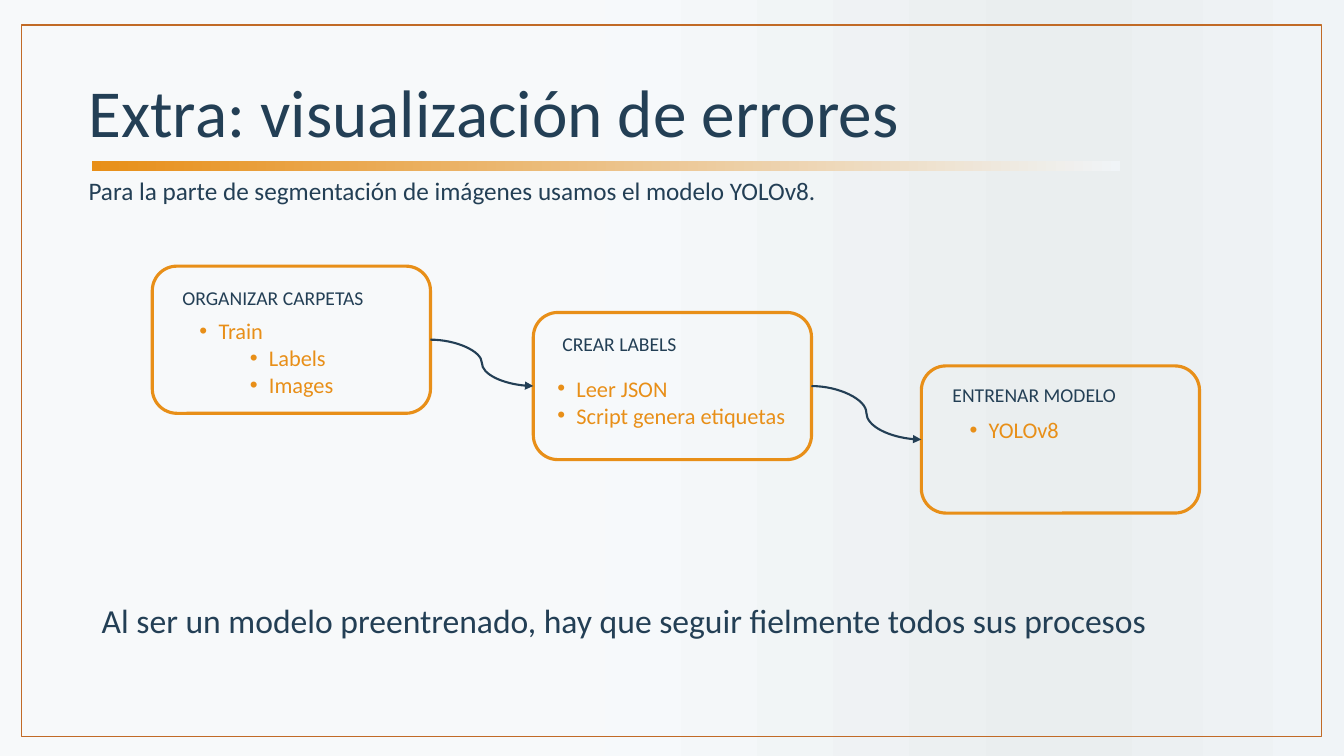
"""Builds the slide on error visualisation, laid out in percent of the slide's size."""
from typing import NamedTuple

from lxml import etree
from pptx import Presentation
from pptx import util as u
from pptx.dml.color import RGBColor
from pptx.enum import shapes, text
from pptx.oxml.ns import qn

WIDTH, HEIGHT = u.Inches(13.33), u.Inches(7.5)
NAVY, ORANGE, RUST = "233F55", "E88F18", "C16A26"
BACKGROUND_STOPS = [(0, "F8F8FA"), (0, "F7F9FA"), (45, "F6F9FB"), (79, "EAEEEF"), (100, "F0F4F7")]
BAR_STOPS = [(0, ORANGE), (100, "F0F4F7")]
INDENT = 0.19
LEVEL_STEP = 0.5


class Area(NamedTuple):
    left: float
    top: float
    width: float
    height: float


class Line(NamedTuple):
    words: str
    level: int = 0


class Banner(NamedTuple):
    words: str
    area: Area
    size: int


class Step(NamedTuple):
    heading: str
    heading_area: Area
    lines: list[Line]
    lines_area: Area
    left: float
    top: float


BANNERS = [
    Banner("Extra: visualización de errores", Area(5.85, 8.67, 88.05, 12.13), 48),
    Banner("Para la parte de segmentación de imágenes usamos el modelo YOLOv8.",
           Area(5.85, 22.53, 88.05, 5.33), 18),
    Banner("Al ser un modelo preentrenado, hay que seguir fielmente todos sus procesos",
           Area(6.83, 78.67, 88.05, 6.67), 24),
]
STEP_WIDTH, STEP_HEIGHT = 20.7, 19.47
STEPS = [
    Step("ORGANIZAR CARPETAS", Area(12.83, 37.2, 15.9, 4.53),
         [Line("Train"), Line("Labels", 1), Line("Images", 1)],
         Area(14.1, 41.33, 11.63, 12.13), 11.33, 35.2),
    Step("CREAR LABELS", Area(41.1, 43.2, 11.1, 4.53),
         [Line("Leer JSON"), Line("Script genera etiquetas")],
         Area(40.73, 48.93, 19.58, 8.53), 39.68, 41.33),
    Step("ENTRENAR MODELO", Area(70.13, 50, 14.03, 4.53),
         [Line("YOLOv8")], Area(71.4, 54.4, 8.48, 4.93), 68.55, 48.4),
]


def color(value: str) -> RGBColor:
    return RGBColor.from_string(value)


def place(area: Area) -> tuple[int, int, int, int]:
    return (int(area.left * WIDTH / 100), int(area.top * HEIGHT / 100),
            int(area.width * WIDTH / 100), int(area.height * HEIGHT / 100))


def set_gradient(owner, fill, stops: list[tuple[int, str]]) -> None:
    fill.gradient()
    fill.gradient_angle = 0
    stop_list = next(owner.element.iter(qn("a:gsLst")))
    for stop in list(stop_list):
        stop_list.remove(stop)
    for position, value in stops:
        stop = etree.SubElement(stop_list, qn("a:gs"), pos=str(position * 1000))
        etree.SubElement(stop, qn("a:srgbClr"), val=value)


def add_outline(slide, kind, area: Area, line: str, points: float):
    shape = slide.shapes.add_shape(kind, *place(area))
    shape.shadow.inherit = False
    shape.fill.background()
    shape.line.color.rgb = color(line)
    shape.line.width = u.Pt(points)
    return shape


def add_bar(slide, area: Area) -> None:
    shape = slide.shapes.add_shape(shapes.MSO_SHAPE.RECTANGLE, *place(area))
    shape.shadow.inherit = False
    shape.line.fill.background()
    set_gradient(shape, shape.fill, BAR_STOPS)


def add_bullet(paragraph, level: int) -> None:
    paragraph.level = level
    properties = paragraph._p.get_or_add_pPr()
    properties.set("marL", str(u.Inches(INDENT + level * LEVEL_STEP)))
    properties.set("indent", str(-u.Inches(INDENT)))
    etree.SubElement(properties, qn("a:buFont"), typeface="Arial")
    etree.SubElement(properties, qn("a:buChar"), char="•")


def add_text(slide, area: Area, lines: list[Line], size: int, ink: str,
             wrap: bool = False, bullets: bool = False) -> None:
    frame = slide.shapes.add_textbox(*place(area)).text_frame
    frame.word_wrap = wrap
    frame.auto_size = text.MSO_AUTO_SIZE.SHAPE_TO_FIT_TEXT
    for index, line in enumerate(lines):
        paragraph = frame.add_paragraph() if index else frame.paragraphs[0]
        paragraph.text = line.words
        if bullets:
            add_bullet(paragraph, line.level)
        paragraph.font.name = "Calibri"
        paragraph.font.size = u.Pt(size)
        paragraph.font.color.rgb = color(ink)


def add_arrow(slide, source, target) -> None:
    arrow = slide.shapes.add_connector(shapes.MSO_CONNECTOR.CURVE, 0, 0, 0, 0)
    arrow.begin_connect(source, 3)
    arrow.end_connect(target, 1)
    arrow.line.color.rgb = color(NAVY)
    arrow.line.width = u.Pt(1.5)
    etree.SubElement(arrow.line._get_or_add_ln(), qn("a:tailEnd"), type="triangle")
    etree.SubElement(arrow.element.spPr, qn("a:effectLst"))


def main() -> None:
    presentation = Presentation()
    presentation.slide_width, presentation.slide_height = WIDTH, HEIGHT
    slide = presentation.slides.add_slide(presentation.slide_layouts[6])
    set_gradient(slide, slide.background.fill, BACKGROUND_STOPS)
    add_outline(slide, shapes.MSO_SHAPE.RECTANGLE, Area(1.58, 3.33, 96.75, 94.13), RUST, 1)
    add_bar(slide, Area(6.83, 21.33, 76.5, 1.33))
    for banner in BANNERS:
        add_text(slide, banner.area, [Line(banner.words)], banner.size, NAVY, wrap=True)
    boxes = [add_outline(slide, shapes.MSO_SHAPE.ROUNDED_RECTANGLE,
                         Area(step.left, step.top, STEP_WIDTH, STEP_HEIGHT), ORANGE, 2.25)
             for step in STEPS]
    for source, target in zip(boxes, boxes[1:]):
        add_arrow(slide, source, target)
    for step in STEPS:
        add_text(slide, step.heading_area, [Line(step.heading)], 14, NAVY)
        add_text(slide, step.lines_area, step.lines, 16, ORANGE, bullets=True)
    presentation.save("out.pptx")


if __name__ == "__main__":
    main()
